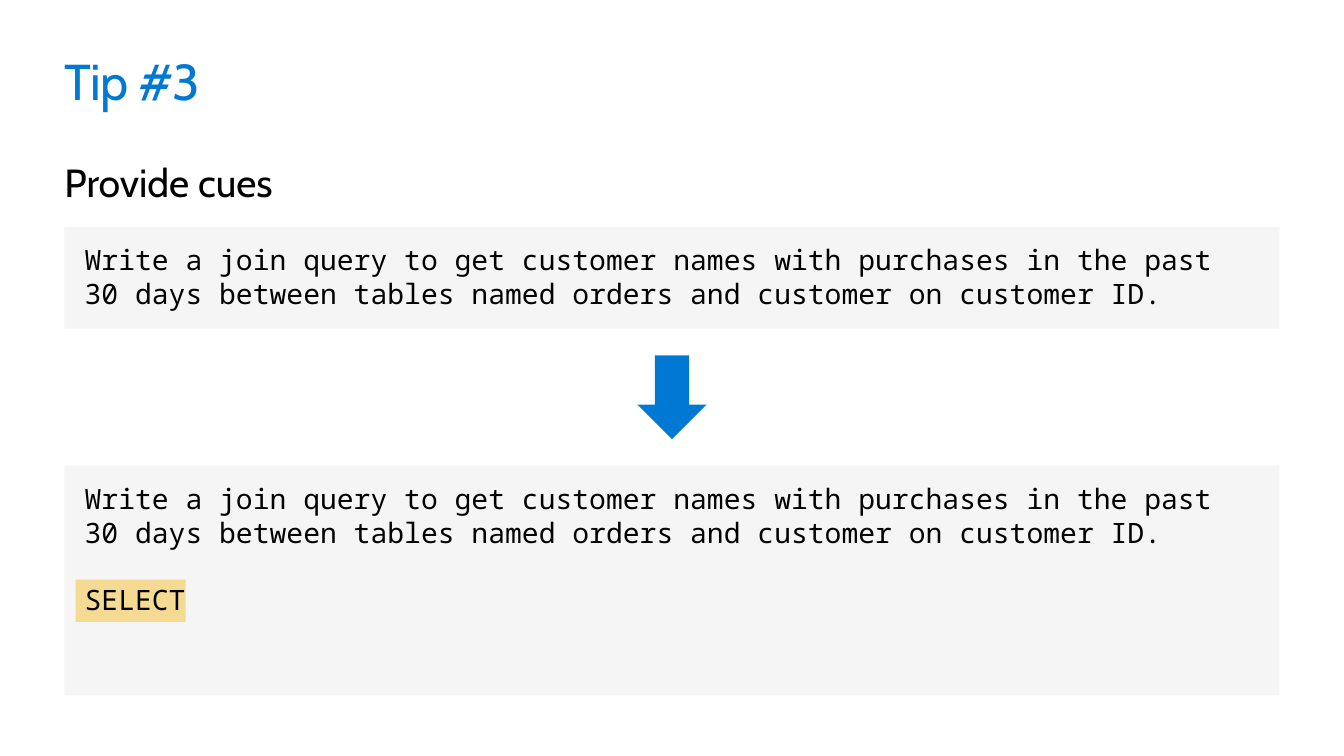
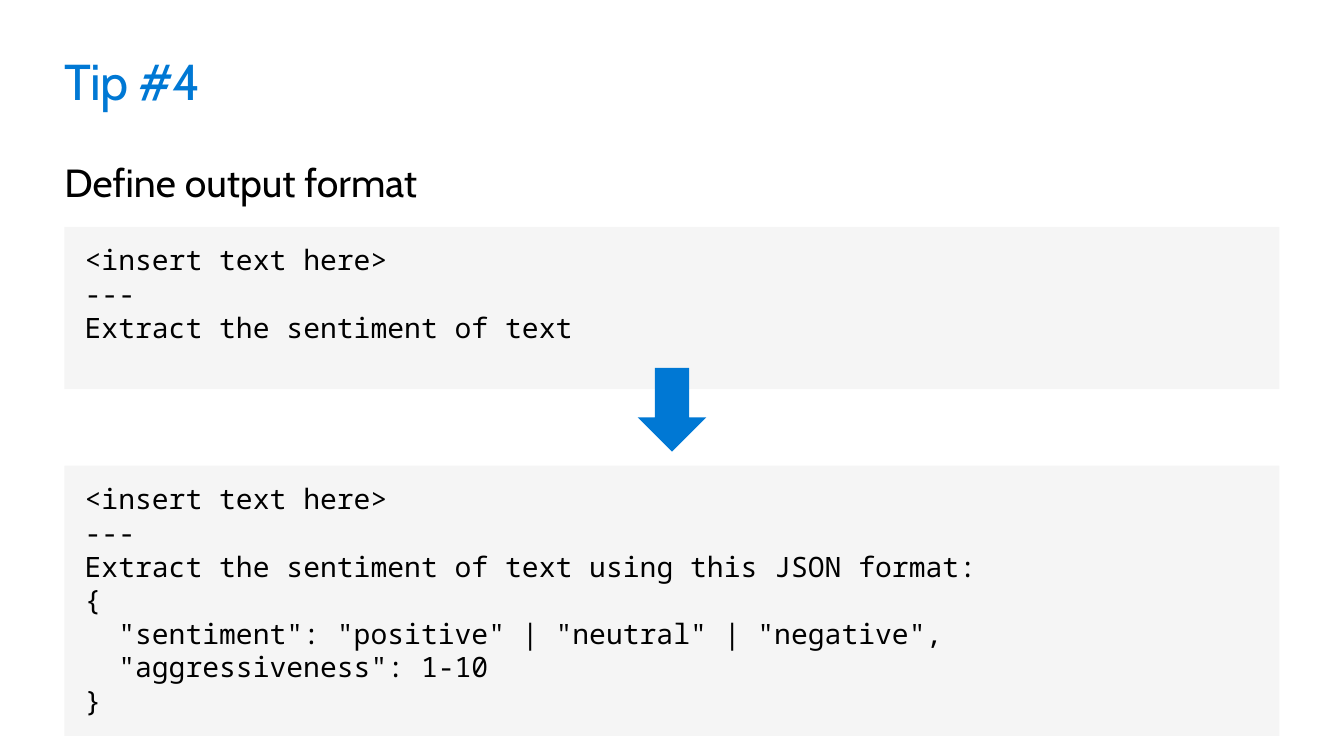
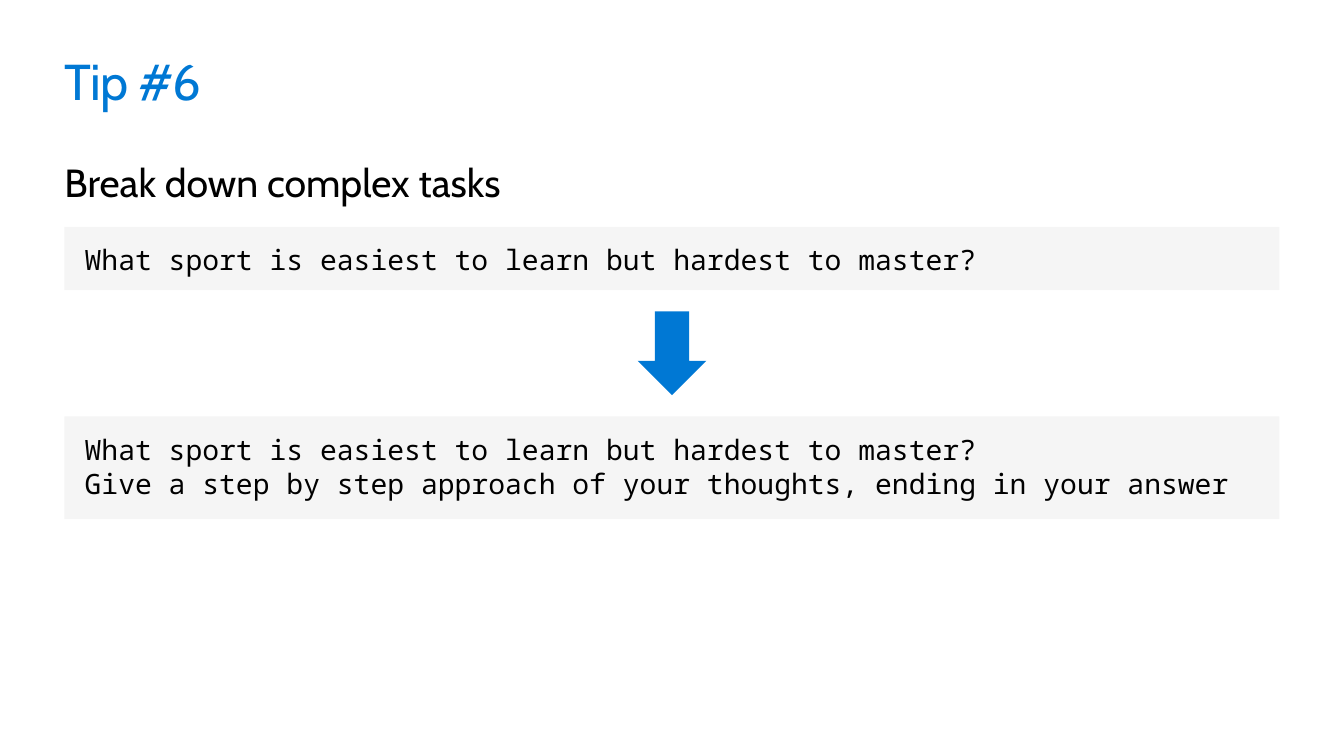
import pptx
import pptx.util
import pptx.dml.color
import pptx.enum.shapes
import pptx.enum.text
import pptx.oxml.ns
from lxml import etree

SHAPES = pptx.enum.shapes.MSO_SHAPE


def colour(code):
    return pptx.dml.color.RGBColor.from_string(code)


class TipDeck:
    """Style and current slide; lengths are percentages of the slide."""

    BLUE, BLACK, YELLOW = "0078D4", "000000", "FFE399"
    HEADING_FONT, CODE_FONT = "Cabin", "Noto Sans Mono"
    LEFT, WIDTH = 4.8, 90.4
    FIRST_TOP = 30
    ARROW_WIDTH, ARROW_HEIGHT = 5.1, 11.07
    CODE_SIZE, CODE_LEADING = 20, 24

    def __init__(self):
        self.deck = pptx.Presentation()
        self.deck.slide_width = pptx.util.Inches(13.33)
        self.deck.slide_height = pptx.util.Inches(7.5)
        self.slide = None

    def place(self, left, top, width, height):
        across, down = self.deck.slide_width / 100, self.deck.slide_height / 100
        return [round(n) for n in (left * across, top * down, width * across, height * down)]

    def new_slide(self, title, advice):
        self.slide = self.deck.slides.add_slide(self.deck.slide_layouts[6])
        self.heading(title, 6.67, 8.13, 36, self.BLUE, spacing=-50)
        self.heading(advice, 20.93, 6.27, 28, self.BLACK)

    def frame(self, box, inset_x=0, inset_y=0):
        frame = box.text_frame
        frame.word_wrap = True
        frame.vertical_anchor = pptx.enum.text.MSO_ANCHOR.TOP
        frame.margin_left = frame.margin_right = pptx.util.Inches(inset_x)
        frame.margin_top = frame.margin_bottom = pptx.util.Inches(inset_y)
        return frame

    def style(self, paragraph, font, size, code):
        paragraph.alignment = pptx.enum.text.PP_ALIGN.LEFT
        for run in paragraph.runs:
            run.font.name = font
            run.font.size = pptx.util.Pt(size)
            run.font.color.rgb = colour(code)

    def heading(self, text, top, height, size, code, spacing=0):
        box = self.slide.shapes.add_textbox(*self.place(self.LEFT, top, self.WIDTH, height))
        paragraph = self.frame(box).paragraphs[0]
        paragraph.text = text
        self.style(paragraph, self.HEADING_FONT, size, code)
        if spacing:
            paragraph.runs[0].font._element.set("spc", str(spacing))

    def block(self, kind, fill, left, top, width, height, opacity=100):
        shape = self.slide.shapes.add_shape(kind, *self.place(left, top, width, height))
        shape.shadow.inherit = False
        shape.fill.solid()
        shape.fill.fore_color.rgb = colour(fill)
        shape.line.fill.background()
        if opacity < 100:
            tint = shape.fill._xPr.find(".//" + pptx.oxml.ns.qn("a:srgbClr"))
            etree.SubElement(tint, pptx.oxml.ns.qn("a:alpha"), val=str(opacity * 1000))
        return shape

    def highlight(self, left, top, width, height):
        self.block(SHAPES.RECTANGLE, self.YELLOW, left, top, width, height)

    def prompt(self, lines, top, height, indented=(), spaced=()):
        """Grey panel of code; indented and spaced hold line numbers from 0."""
        panel = self.block(SHAPES.RECTANGLE, self.BLACK, self.LEFT, top, self.WIDTH, height, opacity=4)
        frame = self.frame(panel, 0.2, 0.16)
        frame.text = "\n".join(lines)
        for number, paragraph in enumerate(frame.paragraphs):
            self.style(paragraph, self.CODE_FONT, self.CODE_SIZE, self.BLACK)
            paragraph.line_spacing = pptx.util.Pt(self.CODE_LEADING)
            if number in spaced:
                paragraph.space_before = pptx.util.Pt(self.CODE_LEADING)
            if number in indented:
                # Two characters of the monospaced font
                paragraph._p.get_or_add_pPr().set("marL", str(pptx.util.Pt(1.2 * self.CODE_SIZE)))

    def arrow(self, middle):
        self.block(SHAPES.DOWN_ARROW, self.BLUE, 50 - self.ARROW_WIDTH / 2,
                   middle - self.ARROW_HEIGHT / 2, self.ARROW_WIDTH, self.ARROW_HEIGHT)

    def before_after(self, before, before_height, after, after_top, after_height,
                     arrow_middle=None, **after_layout):
        self.prompt(before, self.FIRST_TOP, before_height)
        self.prompt(after, after_top, after_height, **after_layout)
        gap_middle = (self.FIRST_TOP + before_height + after_top) / 2
        self.arrow(arrow_middle or gap_middle)


def main():
    tips = TipDeck()

    # Tip 3: the cue is marked behind the second prompt
    query = ("Write a join query to get customer names with purchases in the past "
             "30 days between tables named orders and customer on customer ID.")
    tips.new_slide("Tip #3", "Provide cues")
    tips.highlight(5.63, 76.67, 8.18, 5.6)
    tips.before_after([query], 13.47, [query, "SELECT"], 61.6, 30.4, spaced=[1])

    # Tip 4: the arrow overlaps the first prompt
    source_text = ["<insert text here>", "---"]
    request = "Extract the sentiment of text"
    json_format = ["{", '"sentiment": "positive" | "neutral" | "negative",',
                   '"aggressiveness": 1-10', "}"]
    tips.new_slide("Tip #4", "Define output format")
    tips.before_after(source_text + [request], 21.47,
                      source_text + [request + " using this JSON format:"] + json_format,
                      61.6, 35.73, arrow_middle=54.2, indented=[4, 5])

    # Tip 6
    question = "What sport is easiest to learn but hardest to master?"
    steps = "Give a step by step approach of your thoughts, ending in your answer"
    tips.new_slide("Tip #6", "Break down complex tasks")
    tips.before_after([question], 8.4, [question, steps], 55.07, 13.6)

    tips.deck.save("out.pptx")


if __name__ == "__main__":
    main()
